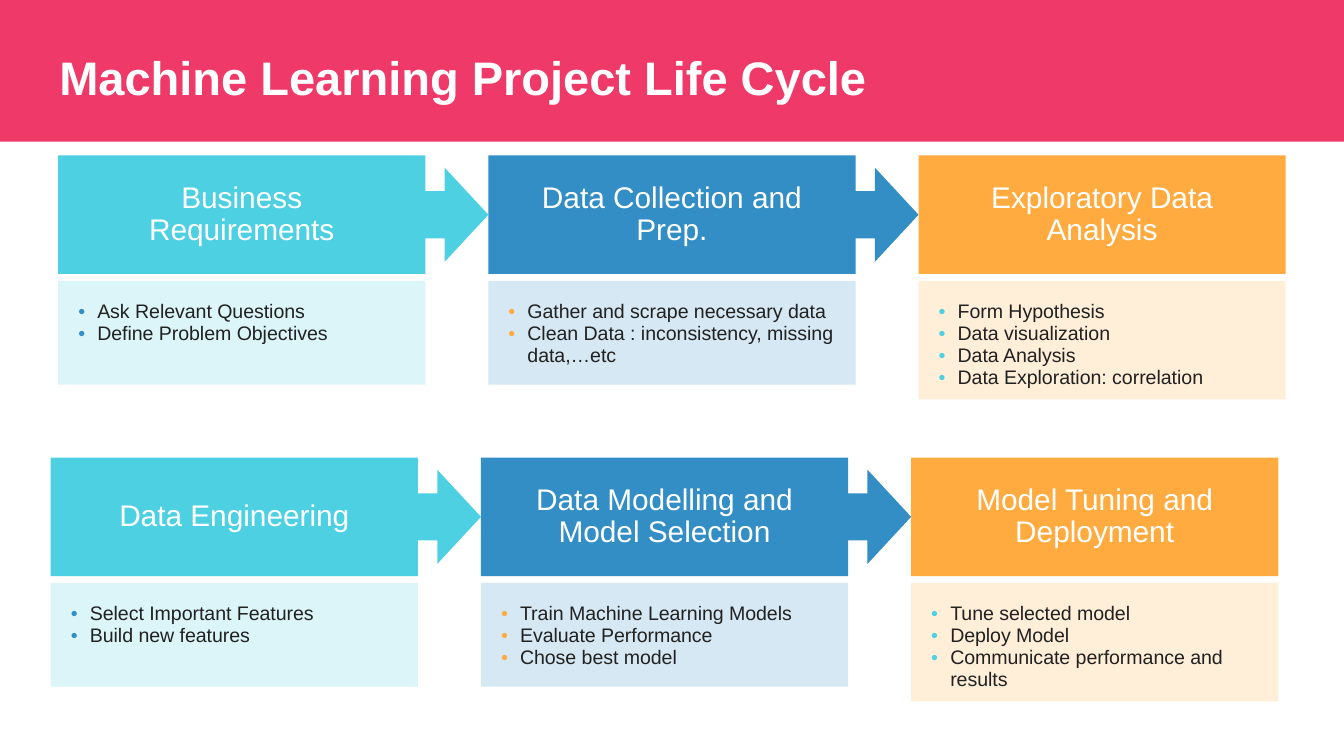
from dataclasses import dataclass

from lxml import etree
from pptx import Presentation
from pptx.dml.color import RGBColor
from pptx.enum.shapes import MSO_SHAPE
from pptx.enum.text import MSO_ANCHOR, PP_ALIGN
from pptx.oxml.ns import qn
from pptx.slide import Slide
from pptx.util import Cm, Pt

RECTANGLE, RIGHT_ARROW = MSO_SHAPE.RECTANGLE, MSO_SHAPE.RIGHT_ARROW
TOP, MIDDLE, BOTTOM = MSO_ANCHOR.TOP, MSO_ANCHOR.MIDDLE, MSO_ANCHOR.BOTTOM
LEFT, CENTER = PP_ALIGN.LEFT, PP_ALIGN.CENTER

COLORS = {
    "band": "EF3969",
    "cyan": "4DD0E1",
    "blue": "328EC4",
    "orange": "FFAB40",
    "white": "FFFFFF",
    "text": "212121",
}
FILLS = ["cyan", "blue", "orange"]
BULLETS = ["blue", "orange", "cyan"]

# Lengths in centimetres
SLIDE_WIDTH, SLIDE_HEIGHT = 25.4, 14.29
CARD_WIDTH, CARD_PITCH = 6.94, 8.13
HEADING_HEIGHT, DETAIL_OFFSET = 2.24, 2.37
DETAIL_HEIGHTS = [1.96, 1.96, 2.24]
ARROW_WIDTH, ARROW_HEIGHT = 1.65, 1.78

# Left, top and the stages of each row
ROWS = [
    (1.1, 2.94, [
        ("Business Requirements",
         ["Ask Relevant Questions", "Define Problem Objectives"]),
        ("Data Collection and Prep.",
         ["Gather and scrape necessary data",
          "Clean Data : inconsistency, missing data,…etc"]),
        ("Exploratory Data Analysis",
         ["Form Hypothesis", "Data visualization", "Data Analysis",
          "Data Exploration: correlation"]),
    ]),
    (0.96, 8.65, [
        ("Data Engineering",
         ["Select Important Features", "Build new features"]),
        ("Data Modelling and Model Selection",
         ["Train Machine Learning Models", "Evaluate Performance",
          "Chose best model"]),
        ("Model Tuning and Deployment",
         ["Tune selected model", "Deploy Model",
          "Communicate performance and results"]),
    ]),
]


@dataclass
class LifeCycleSlide:
    slide: Slide
    font: str = "Arial"

    def shape(self, shapes, kind, left, top, width, height, color, alpha=None):
        shape = shapes.add_shape(kind, Cm(left), Cm(top), Cm(width), Cm(height))
        shape.shadow.inherit = False
        shape.fill.solid()
        shape.fill.fore_color.rgb = RGBColor.from_string(COLORS[color])
        shape.line.fill.background()
        if alpha is not None:
            fill_color = shape.element.spPr.find(qn("a:solidFill"))[0]
            etree.SubElement(fill_color, qn("a:alpha"), val=str(alpha * 1000))
        return shape

    def frame(self, shape, anchor, side, edge):
        frame = shape.text_frame
        frame.word_wrap = True
        frame.vertical_anchor = anchor
        frame.margin_left = frame.margin_right = Cm(side)
        frame.margin_top = frame.margin_bottom = Cm(edge)
        return frame

    def text(self, paragraph, wording, size, color, align, spacing, bold=False):
        paragraph.alignment = align
        paragraph.line_spacing = spacing
        run = paragraph.add_run()
        run.text = wording
        run.font.name = self.font
        run.font.size = Pt(size)
        run.font.bold = bold
        run.font.color.rgb = RGBColor.from_string(COLORS[color])

    def bullet(self, paragraph, color):
        properties = paragraph._p.get_or_add_pPr()
        properties.set("marL", str(Cm(0.36)))
        properties.set("indent", str(-Cm(0.36)))
        bullet_color = etree.SubElement(properties, qn("a:buClr"))
        etree.SubElement(bullet_color, qn("a:srgbClr"), val=COLORS[color])
        etree.SubElement(properties, qn("a:buFont"), typeface=self.font)
        etree.SubElement(properties, qn("a:buChar"), char="•")

    def title(self, wording):
        title = self.slide.shapes.title
        title.left, title.top = Cm(0.87), Cm(0.64)
        title.width, title.height = Cm(23.67), Cm(1.6)
        frame = self.frame(title, BOTTOM, 0.25, 0.25)
        self.text(frame.paragraphs[0], wording, 25.2, "white", LEFT, 1.0, bold=True)
        band = self.shape(self.slide.shapes, RECTANGLE,
                          0, 0, SLIDE_WIDTH, 2.68, "band")
        title.element.addprevious(band.element)

    def arrow(self, shapes, card_left, row_top, color):
        self.shape(shapes, RIGHT_ARROW, card_left + CARD_PITCH - ARROW_WIDTH,
                   row_top + (HEADING_HEIGHT - ARROW_HEIGHT) / 2,
                   ARROW_WIDTH, ARROW_HEIGHT, color)

    def details(self, shapes, left, top, height, items, color, bullet_color):
        box = self.shape(shapes, RECTANGLE, left, top, CARD_WIDTH, height,
                         color, alpha=20)
        frame = self.frame(box, TOP, 0.38, 0.38)
        for index, item in enumerate(items):
            paragraph = frame.add_paragraph() if index else frame.paragraphs[0]
            self.bullet(paragraph, bullet_color)
            self.text(paragraph, item, 10.5, "text", LEFT, 0.94)

    def heading(self, shapes, left, top, name, color):
        box = self.shape(shapes, RECTANGLE, left, top, CARD_WIDTH,
                         HEADING_HEIGHT, color)
        frame = self.frame(box, MIDDLE, 0.51, 0.25)
        self.text(frame.paragraphs[0], name, 16, "white", CENTER, 0.9)

    def row(self, left, top, stages):
        shapes = self.slide.shapes.add_group_shape().shapes
        lefts = [left + column * CARD_PITCH for column in range(len(stages))]
        for card_left, color in zip(lefts[:-1], FILLS):
            self.arrow(shapes, card_left, top, color)
        for card_left, height, (_, items), color, bullet_color in zip(
                lefts, DETAIL_HEIGHTS, stages, FILLS, BULLETS):
            self.details(shapes, card_left, top + DETAIL_OFFSET, height,
                         items, color, bullet_color)
        for card_left, (name, _), color in zip(lefts, stages, FILLS):
            self.heading(shapes, card_left, top, name, color)


def main():
    presentation = Presentation()
    presentation.slide_width = Cm(SLIDE_WIDTH)
    presentation.slide_height = Cm(SLIDE_HEIGHT)
    title_only = presentation.slide_layouts[5]
    life_cycle = LifeCycleSlide(presentation.slides.add_slide(title_only))
    life_cycle.title("Machine Learning Project Life Cycle")
    for left, top, stages in ROWS:
        life_cycle.row(left, top, stages)
    presentation.save("out.pptx")


if __name__ == "__main__":
    main()
